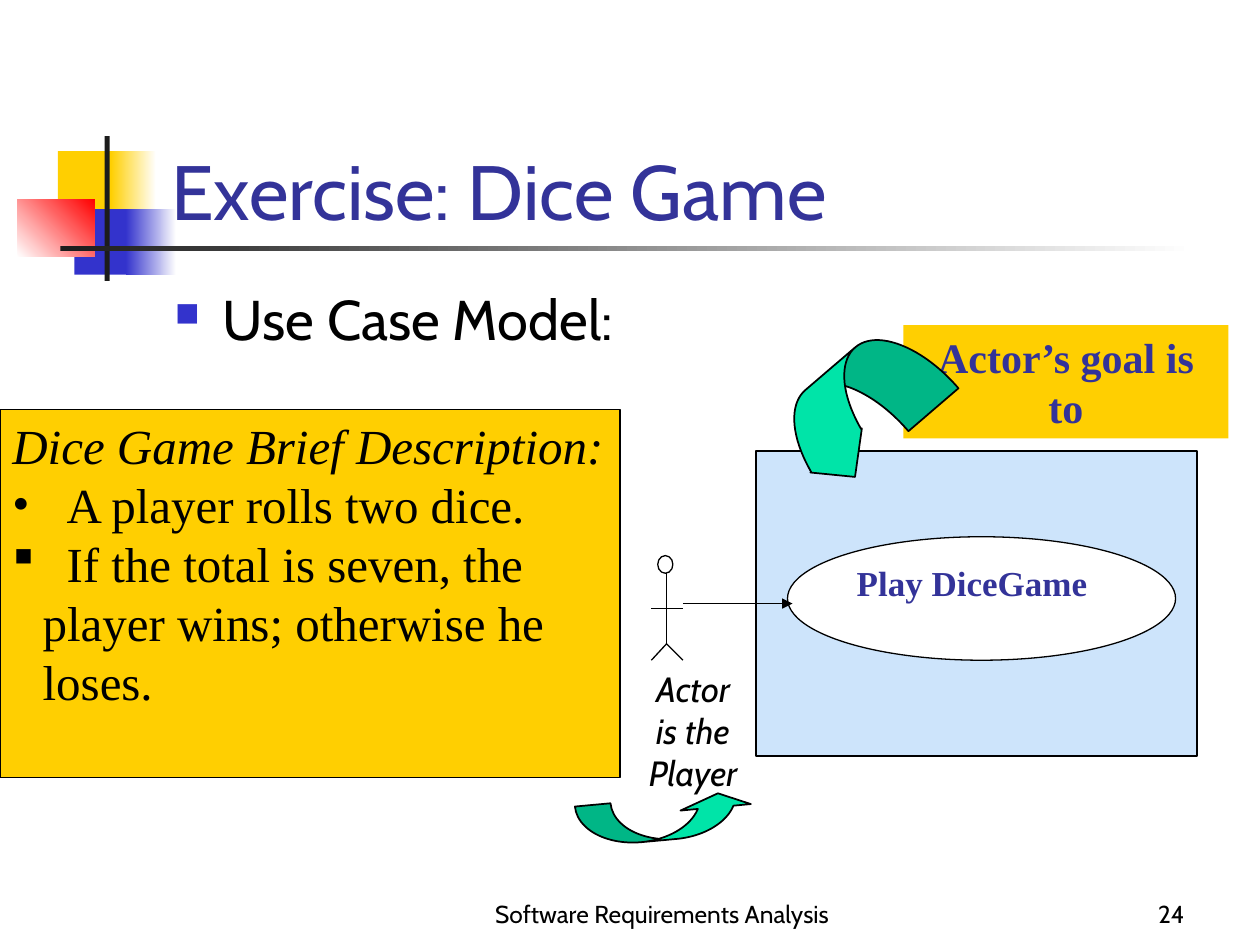
from lxml import etree
from pptx import Presentation
from pptx import util as u
from pptx.dml.color import RGBColor
from pptx.enum import shapes, text
from pptx.oxml import ns

INK, NAVY, BLUE, GOLD, WHITE = "000000", "333399", "3333CC", "FFCF01", "FFFFFF"
MINT = "00E4A8"
SANS, SERIF, SIGNS = "Cabin", "Times New Roman", "Wingdings"
RECT, OVAL = shapes.MSO_SHAPE.RECTANGLE, shapes.MSO_SHAPE.OVAL
CURVE = shapes.MSO_SHAPE.CURVED_RIGHT_ARROW
TOP, BASE = text.MSO_ANCHOR.TOP, text.MSO_ANCHOR.BOTTOM
LEFT, MID, RIGHT = text.PP_ALIGN.LEFT, text.PP_ALIGN.CENTER, text.PP_ALIGN.RIGHT


def tint(code):
    return RGBColor.from_string(code)


def node(root, tag, **attrs):
    return etree.SubElement(root, ns.qn(tag), **attrs)


def write(frame, lines, size=20, font=SANS, color=INK, bold=False,
          italic=False, align=LEFT, anchor=TOP, side=0.1):
    frame.word_wrap = True
    frame.vertical_anchor = anchor
    frame.margin_left = frame.margin_right = u.Inches(side)
    frame.margin_top = frame.margin_bottom = u.Inches(0.05)
    for i, line in enumerate(lines):
        para = frame.paragraphs[0] if i == 0 else frame.add_paragraph()
        para.alignment = align
        run = para.add_run()
        run.text = line
        run.font.size, run.font.name = u.Pt(size), font
        run.font.bold, run.font.italic = bold, italic
        run.font.color.rgb = tint(color)
    return frame


def bullet(para, mark, font, indent, color=INK, scale=100, stop=None):
    props = para._p.get_or_add_pPr()
    props.set("marL", str(u.Inches(indent)))
    props.set("indent", str(u.Inches(-indent)))
    node(node(props, "a:buClr"), "a:srgbClr", val=color)
    node(props, "a:buSzPct", val=str(scale * 1000))
    face = node(props, "a:buFont", typeface=font)
    if font == SIGNS:
        face.set("charset", "2")
    node(props, "a:buChar", char=mark)
    if stop:
        node(node(props, "a:tabLst"), "a:tab", pos=str(u.Inches(stop)), algn="l")


class Deck:
    def __init__(self):
        self.prs = Presentation()
        self.prs.slide_width, self.prs.slide_height = u.Inches(10), u.Inches(7.5)
        self.slide = self.prs.slides.add_slide(self.prs.slide_layouts[5])
        self.page = self.slide.shapes

    def block(self, box, fill, line=None, kind=RECT):
        shape = self.page.add_shape(kind, *map(u.Inches, box))
        shape.shadow.inherit = False
        shape.fill.solid()
        shape.fill.fore_color.rgb = tint(fill)
        if line:
            shape.line.color.rgb = tint(INK)
            shape.line.width = u.Pt(line)
        else:
            shape.line.fill.background()
        return shape

    def fade(self, box, start, end, angle=0):
        shape = self.block(box, start)
        shape.fill.gradient()
        shape.fill.gradient_angle = angle
        for stop, code, spot in zip(shape.fill.gradient_stops, (start, end), (0, 1)):
            stop.color.rgb = tint(code)
            stop.position = spot

    def label(self, box, lines, **style):
        shape = self.page.add_textbox(*map(u.Inches, box))
        return write(shape.text_frame, lines, **style)

    def title(self, box, words, **style):
        shape = self.slide.shapes.title
        shape.left, shape.top, shape.width, shape.height = map(u.Inches, box)
        shape.element.getparent().append(shape.element)
        write(shape.text_frame, [words], **style)

    def line(self, start, end, arrow=False):
        wire = self.page.add_connector(shapes.MSO_CONNECTOR.STRAIGHT,
                                       *map(u.Inches, start + end))
        wire.line.color.rgb = tint(INK)
        wire.line.width = u.Pt(0.75)
        if arrow:
            node(wire.line._get_or_add_ln(), "a:tailEnd", type="triangle")
        node(wire._element.spPr, "a:effectLst")

    def swoop(self, box, turn, sizes):
        shape = self.block(box, MINT, 1, CURVE)
        shape.rotation = turn
        for i, size in enumerate(sizes):
            shape.adjustments[i] = size


def main():
    deck = Deck()

    deck.block((0.46, 1.2, 0.48, 0.52), GOLD)
    deck.fade((0.88, 1.2, 0.36, 0.52), GOLD, WHITE)
    deck.block((0.59, 1.66, 0.46, 0.52), BLUE)
    deck.fade((1, 1.66, 0.4, 0.52), BLUE, WHITE)
    deck.fade((0.14, 1.58, 0.61, 0.46), WHITE, "FF0000", 45)
    deck.block((0.83, 1.08, 0.04, 1.15), "1C1C1C")
    deck.fade((0.48, 1.95, 9, 0.04), "1C1C1C", WHITE)

    deck.label((3.67, 6.92, 3.17, 0.5), ["Software Requirements Analysis"],
               size=14, align=MID, anchor=BASE)
    deck.label((7.42, 6.92, 2.08, 0.5), ["24"], size=14, align=RIGHT, anchor=BASE)
    deck.title((1.26, 0.67, 8.52, 1.25), "Exercise: Dice Game",
               size=44, color=NAVY, anchor=BASE)
    body = deck.label((1.29, 2.21, 8.5, 4.5), ["Use Case Model:"], size=32)
    bullet(body.paragraphs[0], "n", SIGNS, 0.38, BLUE, 60)

    brief = deck.block((0, 3.25, 4.92, 2.92), GOLD, 0.75).text_frame
    write(brief, ["Dice Game Brief Description:", "\tA player rolls two dice.",
                  "\tIf the total is seven, the player wins; otherwise he loses."],
          size=28, font=SERIF)
    head, *rules = brief.paragraphs
    head.runs[0].font.italic = True
    for para, mark, font in zip(rules, "•§", (SERIF, SIGNS)):
        bullet(para, mark, font, 0.24, stop=0.43)

    deck.page = deck.slide.shapes.add_group_shape().shapes
    deck.block((6, 3.58, 3.5, 2.42), "CDE4FB", 0.75)
    case = deck.block((6.25, 4.26, 3.08, 0.98), WHITE, 0.75, OVAL)
    write(case.text_frame, ["Play DiceGame"], font=SERIF, color=NAVY, bold=True)
    hip = (5.29, 5.11)
    deck.line((5.29, 4.52), hip)
    deck.block((5.22, 4.41, 0.12, 0.14), WHITE, 0.75, OVAL)
    for foot in (5.17, 5.42):
        deck.line(hip, (foot, 5.24))
    deck.line((5.17, 4.83), (5.42, 4.83))
    deck.line((5.42, 4.79), (6.29, 4.79), arrow=True)
    deck.page = deck.slide.shapes

    deck.swoop((5.12, 5.79, 0.33, 1.42), 264.7, (0.86, 1.7, 0.33))
    deck.label((5, 5.25, 1, 1.1), ["Actor is the Player"], italic=True, align=MID)
    goal = deck.block((7.17, 2.58, 2.58, 0.9), GOLD)
    write(goal.text_frame, ["Actor’s goal is to"], size=24, font=SERIF,
          color=NAVY, bold=True, align=MID, side=0.12)
    deck.swoop((6.45, 2.55, 0.78, 1.35), 49.4, (0.67, 0.69, 0.33))

    deck.prs.save("out.pptx")


if __name__ == "__main__":
    main()
